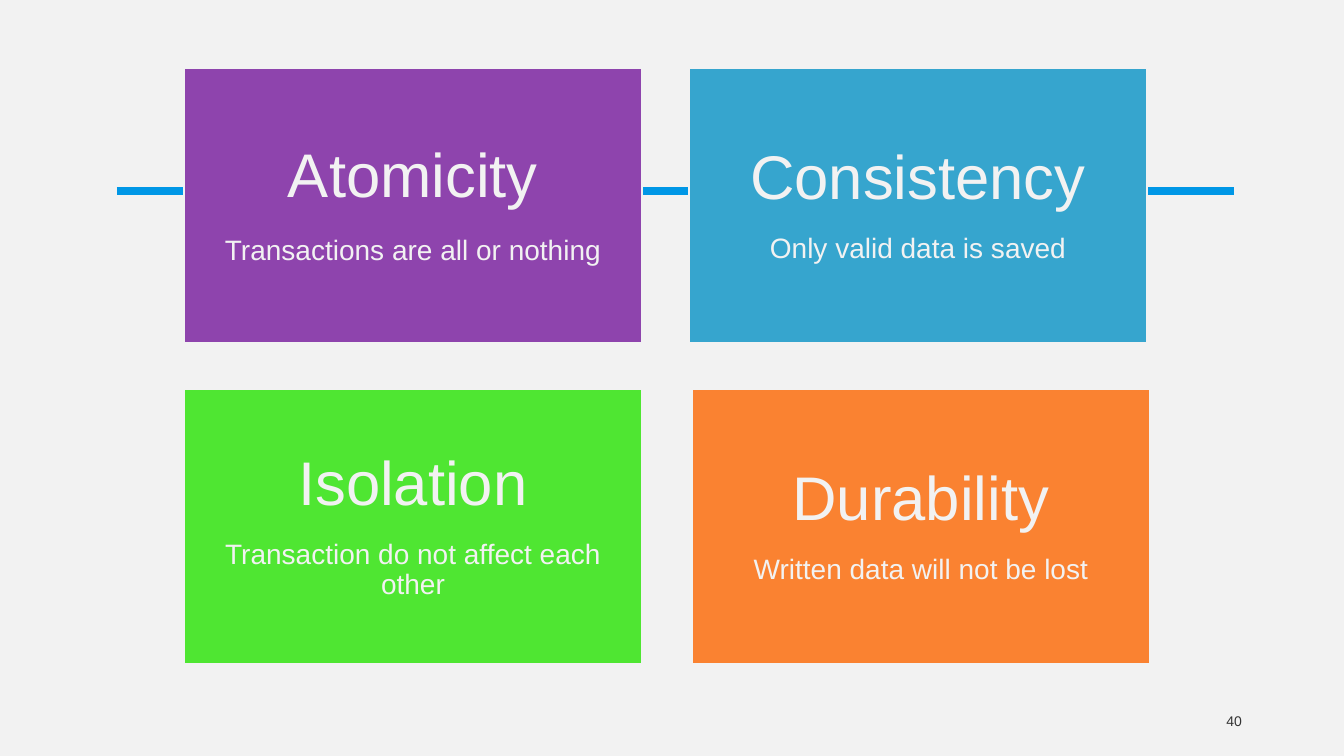
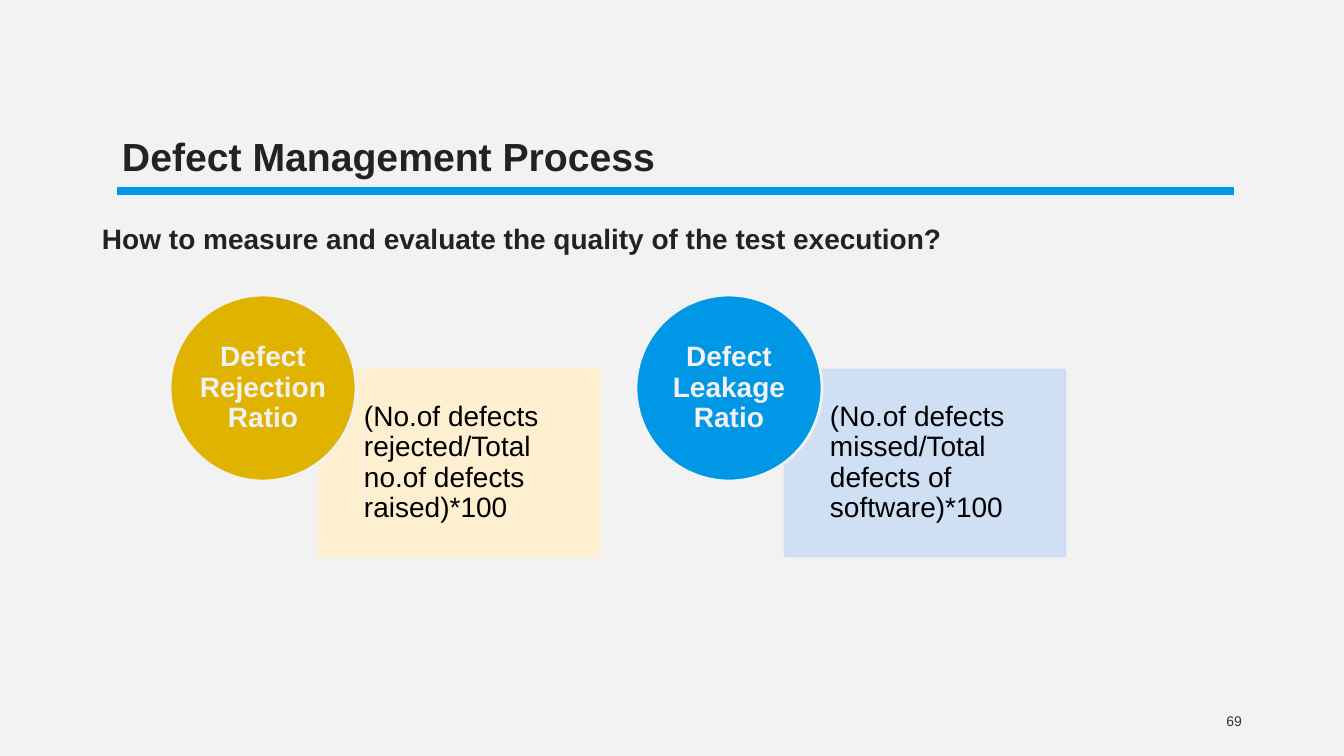
from dataclasses import dataclass

from lxml.etree import SubElement
from pptx import Presentation
from pptx.dml.color import RGBColor
from pptx.enum.shapes import MSO_CONNECTOR as Connector, MSO_SHAPE as Preset
from pptx.enum.text import MSO_ANCHOR as Anchor, MSO_AUTO_SIZE as AutoSize, PP_ALIGN as Align
from pptx.oxml.ns import qn
from pptx.util import Emu, Pt


# Content
PROPERTIES = [  # heading, explanation, fill, line spacing of the explanation
    ("Atomicity", "Transactions are all or nothing", "8E44AD", 1.0),
    ("Consistency", "Only valid data is saved", "36A5CE", 0.9),
    ("Isolation", "Transaction do not affect each other", "4FE632", 0.9),
    ("Durability", "Written data will not be lost", "FA8231", 0.9),
]
PROPERTIES_NUMBER = "40"

TITLE = "Defect Management Process"
QUESTION = "How to measure and evaluate the quality of the test execution?"
RATIOS = [  # name, formula, circle fill, panel fill
    ("Defect Rejection Ratio", "(No.of defects rejected/Total no.of defects raised)*100",
     "E1B301", "FFEFCD"),
    ("Defect Leakage Ratio", "(No.of defects missed/Total defects of software)*100",
     "0097E6", "CCDDF5"),
]
RATIOS_NUMBER = "69"


@dataclass(frozen=True)
class Theme:
    font: str = "Arial"
    background: str = "F2F2F2"
    rule: str = "0097E6"
    heading: str = "222222"
    formula: str = "000000"
    number: str = "333333"
    card_size: int = 44
    title_size: int = 28
    text_size: int = 20
    number_size: int = 10
    rule_width: int = 6
    outline_width: int = 2
    tight: float = 0.9
    after_share: float = 0.35


THEME = Theme()
SLIDE_WIDTH, SLIDE_HEIGHT = 1344, 756
EMU_PER_PX = 12192000 / SLIDE_WIDTH
TEXT_MARGINS = (10, 5, 10, 5)


def px(length):
    return Emu(round(length * EMU_PER_PX))


def box(*lengths):
    return [px(length) for length in lengths]


def color(code):
    return RGBColor.from_string(code)


# Text
def set_frame(frame, margins, anchor):
    frame.word_wrap = True
    frame.auto_size = AutoSize.NONE
    frame.vertical_anchor = anchor
    (frame.margin_left, frame.margin_top,
     frame.margin_right, frame.margin_bottom) = box(*margins)


def write(paragraph, text, size, ink, bold=False, align=Align.LEFT, spacing=1.0, after=0):
    paragraph.alignment = align
    paragraph.line_spacing = spacing
    paragraph.space_before = Pt(0)
    paragraph.space_after = Pt(after)
    run = paragraph.add_run()
    run.text = text
    run.font.name = THEME.font
    run.font.size = Pt(size)
    run.font.bold = bold
    run.font.color.rgb = color(ink)


def fill_placeholder(placeholder, place, text, size):
    placeholder.left, placeholder.top, placeholder.width, placeholder.height = box(*place)
    set_frame(placeholder.text_frame, TEXT_MARGINS, Anchor.TOP)
    paragraph = placeholder.text_frame.paragraphs[0]
    properties = paragraph._p.get_or_add_pPr()
    properties.set("marL", "0")
    properties.set("indent", "0")
    SubElement(properties, qn("a:buNone"))
    write(paragraph, text, size, THEME.heading, bold=True)


# Shapes
def add_filled(slide, preset, place, fill, outline, opacity=100):
    shape = slide.shapes.add_shape(preset, *box(*place))
    shape.shadow.inherit = False
    shape.fill.solid()
    shape.fill.fore_color.rgb = color(fill)
    shape.line.color.rgb = color(outline)
    shape.line.width = Pt(THEME.outline_width)
    if opacity < 100:
        for paint in shape.element.spPr.iter(qn("a:srgbClr")):
            SubElement(paint, qn("a:alpha")).set("val", str(opacity * 1000))
    return shape


def add_number(slide, number):
    frame = slide.shapes.add_textbox(*box(950, 701, 302, 40)).text_frame
    set_frame(frame, TEXT_MARGINS, Anchor.MIDDLE)
    write(frame.paragraphs[0], number, THEME.number_size, THEME.number, align=Align.RIGHT)


# Shared background and rule, kept on the slide master
def set_master(presentation, slide):
    master = presentation.slide_master
    master.background.fill.solid()
    master.background.fill.fore_color.rgb = color(THEME.background)
    rule = slide.shapes.add_connector(Connector.STRAIGHT, *box(117, 191, 1234, 191))
    rule.line.color.rgb = color(THEME.rule)
    rule.line.width = Pt(THEME.rule_width)
    SubElement(rule.element.spPr, qn("a:effectLst"))
    master.shapes.element.append(rule.element)


# Two by two cards
def build_properties(slide):
    left, top, width, height = 184, 68, 458, 275
    column_step, row_step, last_shift = 505, 321, 3
    for index, (heading, explanation, fill, spacing) in enumerate(PROPERTIES):
        row, column = divmod(index, 2)
        x = left + column * column_step + row * column * last_shift
        card = add_filled(slide, Preset.RECTANGLE,
                          (x, top + row * row_step, width, height), fill, THEME.background)
        frame = card.text_frame
        set_frame(frame, (18, 18, 18, 18), Anchor.MIDDLE)
        write(frame.paragraphs[0], heading, THEME.card_size, THEME.background,
              align=Align.CENTER, spacing=THEME.tight,
              after=THEME.card_size * THEME.after_share)
        write(frame.add_paragraph(), explanation, THEME.text_size, THEME.background,
              align=Align.CENTER, spacing=spacing)
    add_number(slide, PROPERTIES_NUMBER)


# Circles overlapping formula panels
def build_ratios(slide):
    fill_placeholder(slide.shapes.title, (112, 127, 796, 57), TITLE, THEME.title_size)
    fill_placeholder(slide.placeholders[1], (92, 216, 1160, 146), QUESTION, THEME.text_size)
    left, step, diameter = 170, 466, 186
    for index, (name, formula, circle_fill, panel_fill) in enumerate(RATIOS):
        x = left + index * step
        panel = add_filled(slide, Preset.RECTANGLE, (x + 149, 370, 280, 186),
                           panel_fill, panel_fill, opacity=90)
        circle = add_filled(slide, Preset.OVAL, (x, 295, diameter, diameter),
                            circle_fill, THEME.background)
        set_frame(panel.text_frame, (45, 16, 16, 16), Anchor.MIDDLE)
        write(panel.text_frame.paragraphs[0], formula, THEME.text_size, THEME.formula,
              spacing=THEME.tight)
        set_frame(circle.text_frame, (0, 0, 0, 0), Anchor.MIDDLE)
        write(circle.text_frame.paragraphs[0], name, THEME.text_size, THEME.background,
              bold=True, align=Align.CENTER, spacing=THEME.tight)
    add_number(slide, RATIOS_NUMBER)


def main():
    presentation = Presentation()
    presentation.slide_width, presentation.slide_height = box(SLIDE_WIDTH, SLIDE_HEIGHT)
    layouts = presentation.slide_layouts
    properties_slide = presentation.slides.add_slide(layouts.get_by_name("Blank"))
    ratios_slide = presentation.slides.add_slide(layouts.get_by_name("Title and Content"))
    set_master(presentation, properties_slide)
    build_properties(properties_slide)
    build_ratios(ratios_slide)
    presentation.save("out.pptx")


if __name__ == "__main__":
    main()
